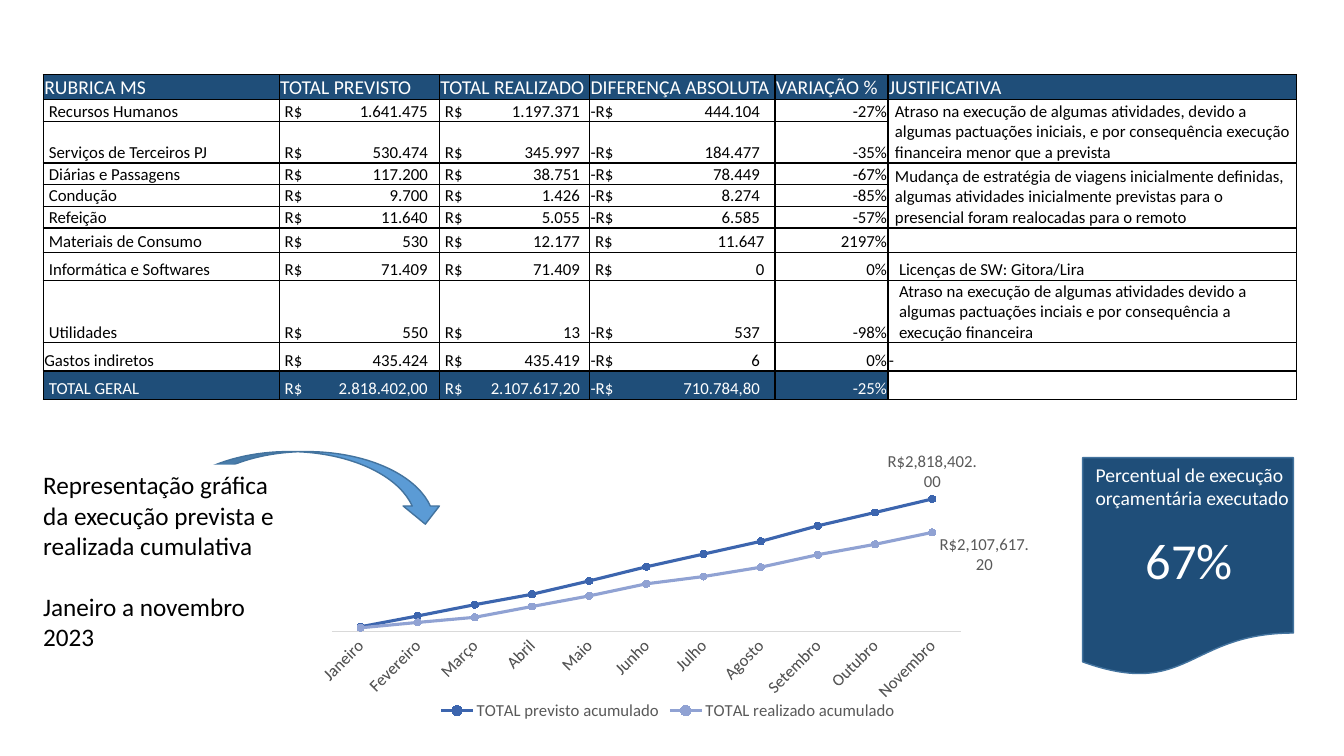
from lxml import etree
from pptx import Presentation
from pptx.chart.data import CategoryChartData
from pptx.dml.color import RGBColor
from pptx.enum.chart import (XL_CHART_TYPE, XL_LABEL_POSITION, XL_LEGEND_POSITION,
                             XL_MARKER_STYLE, XL_TICK_MARK)
from pptx.enum.shapes import MSO_SHAPE
from pptx.enum.text import MSO_ANCHOR, PP_ALIGN
from pptx.oxml import parse_xml
from pptx.oxml.ns import nsdecls, qn
from pptx.util import Inches, Pt

LINE_MARKERS = XL_CHART_TYPE.LINE_MARKERS
LABEL_ABOVE, LABEL_RIGHT = XL_LABEL_POSITION.ABOVE, XL_LABEL_POSITION.RIGHT
LEGEND_BOTTOM = XL_LEGEND_POSITION.BOTTOM
CIRCLE = XL_MARKER_STYLE.CIRCLE
NO_TICKS = XL_TICK_MARK.NONE
CURVED_ARROW = MSO_SHAPE.CURVED_DOWN_ARROW
DOCUMENT = MSO_SHAPE.FLOWCHART_DOCUMENT
RECTANGLE = MSO_SHAPE.RECTANGLE
BOTTOM, TOP = MSO_ANCHOR.BOTTOM, MSO_ANCHOR.TOP
LEFT, CENTER, RIGHT = PP_ALIGN.LEFT, PP_ALIGN.CENTER, PP_ALIGN.RIGHT

BLACK = RGBColor(0x00, 0x00, 0x00)
WHITE = RGBColor(0xFF, 0xFF, 0xFF)
NAVY = RGBColor(0x1F, 0x4E, 0x79)
SKY = RGBColor(0x5B, 0x9B, 0xD5)
OUTLINE = RGBColor(0x43, 0x73, 0x9E)
GRAY = RGBColor(0x59, 0x59, 0x59)
PALE_GRAY = RGBColor(0xD9, 0xD9, 0xD9)
PLANNED = RGBColor(0x3C, 0x65, 0xAE)
SPENT = RGBColor(0x90, 0xA2, 0xD3)

GRID = Inches(0.1)  # side of one grid column and row
COLUMNS, ROWS = 133.33, 75

HEADERS = ["RUBRICA MS", "TOTAL PREVISTO", "TOTAL REALIZADO", "DIFERENÇA ABSOLUTA",
           "VARIAÇÃO %", "JUSTIFICATIVA"]
BUDGET = [  # item, planned, spent, sign of the difference, difference, variation, reason
    ("Recursos Humanos", "1.641.475", "1.197.371", "-", "444.104", "-27%",
     "Atraso na execução de algumas atividades, devido a algumas pactuações iniciais, "
     "e por consequência execução financeira menor que a prevista"),
    ("Serviços de Terceiros PJ", "530.474", "345.997", "-", "184.477", "-35%", ""),
    ("Diárias e Passagens", "117.200", "38.751", "-", "78.449", "-67%",
     "Mudança de estratégia de viagens inicialmente definidas, algumas atividades "
     "inicialmente previstas para o presencial foram realocadas para o remoto"),
    ("Condução", "9.700", "1.426", "-", "8.274", "-85%", ""),
    ("Refeição", "11.640", "5.055", "-", "6.585", "-57%", ""),
    ("Materiais de Consumo", "530", "12.177", "", "11.647", "2197%", ""),
    ("Informática e Softwares", "71.409", "71.409", "", "0", "0%",
     "Licenças de SW: Gitora/Lira"),
    ("Utilidades", "550", "13", "-", "537", "-98%",
     "Atraso na execução de algumas atividades devido a algumas pactuações inciais e "
     "por consequência a execução financeira"),
    ("Gastos indiretos", "435.424", "435.419", "-", "6", "0%", "-"),
    ("TOTAL GERAL", "2.818.402,00", "2.107.617,20", "-", "710.784,80", "-25%", ""),
]
COLUMN_WIDTHS = [23.4, 15.9, 14.9, 18.4, 11.2, 40.5]
ROW_HEIGHTS = [2.45, 2.2, 4.1, 2.15, 2.15, 2.15, 2.4, 2.8, 6.2, 2.8, 2.8]
AMOUNT_STOPS = {1: 14.2, 2: 13.4, 3: 16.8}  # right tab of each amount column
REASON_INDENTS = {1: 0.6, 3: 0.6, 7: 1, 8: 1}
REASON_SPANS = [(1, 2), (3, 5)]
TEXT_INDENT = 0.45

MONTHS = ["Janeiro", "Fevereiro", "Março", "Abril", "Maio", "Junho", "Julho", "Agosto",
          "Setembro", "Outubro", "Novembro"]
SERIES = [
    ("TOTAL previsto acumulado", PLANNED, LABEL_ABOVE, 0,
     [100702, 331227, 570662, 792067, 1075998, 1377327, 1647570, 1917499, 2248722,
      2531115, 2818402]),
    ("TOTAL realizado acumulado", SPENT, LABEL_RIGHT, 0.08,
     [78528.34, 193990.65, 302499.13, 531730.01, 756839.88, 1014219.42, 1169531.1,
      1367595.6, 1633349.4, 1854450.94, 2107617.2]),
]


def grid(*lengths):
    return [round(length * GRID) for length in lengths]


def manual_layout(**parts):
    items = "".join(f'<c:{name} val="{value}"/>' for name, value in parts.items())
    return parse_xml(f'<c:layout {nsdecls("c")}><c:manualLayout>{items}'
                     '</c:manualLayout></c:layout>')


class BudgetSlide:
    font_name = "Calibri"

    def __init__(self, presentation):
        self.slide = presentation.slides.add_slide(presentation.slide_layouts[6])

    def style(self, font, size, color):
        font.name, font.size, font.color.rgb = self.font_name, Pt(size), color

    def shape(self, kind, place, fill, line=None):
        shape = self.slide.shapes.add_shape(kind, *grid(*place))
        shape.shadow.inherit = False
        shape.fill.solid()
        shape.fill.fore_color.rgb = fill
        if line is None:
            shape.line.fill.background()
        else:
            shape.line.color.rgb, shape.line.width = line, Pt(1)
        return shape

    def fill_text(self, shape, text, size, color, align=LEFT, gap=0):
        frame = shape.text_frame
        frame.text, frame.word_wrap, frame.vertical_anchor = text, True, TOP
        for index, paragraph in enumerate(frame.paragraphs):
            paragraph.alignment = align
            if index:
                paragraph.space_before = Pt(gap)
            for run in paragraph.runs:
                self.style(run.font, size, color)

    def text(self, place, *content, **options):
        self.fill_text(self.slide.shapes.add_textbox(*grid(*place)), *content, **options)

    def cell(self, cell, text, size=12, color=BLACK, fill=None, align=LEFT, indent=0, stop=None):
        cell.margin_left = cell.margin_right = cell.margin_top = Inches(0.01)
        cell.margin_bottom, cell.vertical_anchor = 0, BOTTOM
        properties = cell._tc.get_or_add_tcPr()
        for side in ("lnL", "lnR", "lnT", "lnB"):
            properties.append(parse_xml(
                f'<a:{side} {nsdecls("a")} w="12700"><a:solidFill>'
                f'<a:srgbClr val="{BLACK}"/></a:solidFill></a:{side}>'))
        if fill is None:
            cell.fill.background()
        else:
            cell.fill.solid()
            cell.fill.fore_color.rgb = fill
        paragraph = cell.text_frame.paragraphs[0]
        paragraph.text, paragraph.alignment = text, align
        paragraph_properties = paragraph._p.get_or_add_pPr()
        paragraph_properties.set("marL", str(grid(indent)[0]))
        if stop:
            tabs = etree.SubElement(paragraph_properties, qn("a:tabLst"))
            etree.SubElement(tabs, qn("a:tab"), pos=str(grid(stop)[0]), algn="r")
        for run in paragraph.runs:
            self.style(run.font, size, color)
        if not text:
            etree.SubElement(paragraph._p, qn("a:endParaRPr"), sz=str(size * 100))

    def table(self, left, top):
        place = grid(left, top, sum(COLUMN_WIDTHS), sum(ROW_HEIGHTS))
        table = self.slide.shapes.add_table(len(ROW_HEIGHTS), len(HEADERS), *place).table
        table.first_row = table.horz_banding = False
        for column, width in zip(table.columns, grid(*COLUMN_WIDTHS)):
            column.width = width
        for row, height in zip(table.rows, grid(*ROW_HEIGHTS)):
            row.height = height
        for column, header in enumerate(HEADERS):
            self.cell(table.cell(0, column), header, 14, WHITE, NAVY)
        for row, (item, planned, spent, sign, gap, variation, reason) in enumerate(BUDGET, 1):
            total = row == len(BUDGET)
            look = {"color": WHITE, "fill": NAVY} if total else {}
            item_indent = 0 if item == "Gastos indiretos" else TEXT_INDENT
            self.cell(table.cell(row, 0), item, indent=item_indent, **look)
            for column, prefix, amount in ((1, "", planned), (2, "", spent), (3, sign, gap)):
                self.cell(table.cell(row, column), f"{prefix}R$\t{amount}",
                          indent=0 if prefix else TEXT_INDENT,
                          stop=AMOUNT_STOPS[column], **look)
            self.cell(table.cell(row, 4), variation, align=RIGHT, **look)
            self.cell(table.cell(row, 5), reason, indent=REASON_INDENTS.get(row, 0))
        for first, last in REASON_SPANS:
            table.cell(first, 5).merge(table.cell(last, 5))

    def chart(self, place):
        data = CategoryChartData(number_format='"R$"#,##0.00')
        data.categories = MONTHS
        for name, _, _, _, values in SERIES:
            data.add_series(name, values)
        chart = self.slide.shapes.add_chart(LINE_MARKERS, *grid(*place), data).chart
        self.style(chart.font, 12, GRAY)
        chart.has_title = False
        chart.has_legend = True
        chart.legend.position, chart.legend.include_in_layout = LEGEND_BOTTOM, False
        # Axes
        months, amounts = chart.category_axis, chart.value_axis
        months.major_tick_mark = NO_TICKS
        months.format.line.color.rgb, months.format.line.width = PALE_GRAY, Pt(0.75)
        self.style(months.tick_labels.font, 12, GRAY)
        months._element.find(qn("c:txPr")).find(qn("a:bodyPr")).set("rot", "-2700000")
        amounts.minimum_scale, amounts.maximum_scale = 0, 3000000
        amounts.has_major_gridlines = amounts.visible = False
        # Plot area
        plot = chart.plots[0]
        plot.vary_by_categories = False
        area = chart._chartSpace.find(".//" + qn("c:plotArea"))
        for layout in area.findall(qn("c:layout")):
            area.remove(layout)
        area.insert(0, manual_layout(layoutTarget="inner", xMode="edge", yMode="edge",
                                     x=0.03, y=0.17, w=0.88, h=0.5))
        # Lines, each with a label on its last month
        for series, (_, color, position, drop, _) in zip(plot.series, SERIES):
            series.smooth = False
            series.format.line.color.rgb, series.format.line.width = color, Pt(2.25)
            marker = series.marker
            marker.style, marker.size = CIRCLE, 5
            marker.format.fill.solid()
            marker.format.fill.fore_color.rgb = marker.format.line.color.rgb = color
            label = series.points[len(MONTHS) - 1].data_label
            self.style(label.font, 12, GRAY)
            label.position = position
            if drop:
                label._get_or_add_dLbl().insert(1, manual_layout(x=0, y=drop))


def main():
    presentation = Presentation()
    presentation.slide_width, presentation.slide_height = grid(COLUMNS, ROWS)
    budget = BudgetSlide(presentation)

    # Arrow to the chart, the chart and the budget table
    budget.shape(CURVED_ARROW, (16, 44.8, 28, 7.2), SKY, OUTLINE)
    budget.chart((30.8, 43.9, 71.3, 28))
    budget.table(4.3, 7.4)

    # Chart caption
    caption = budget.shape(RECTANGLE, (3.3, 46.1, 26.4, 19.2), WHITE)
    budget.fill_text(caption, "Representação gráfica da execução prevista e realizada cumulativa\n"
                     "Janeiro a novembro 2023", 18, BLACK, gap=22)

    # Share of the budget spent
    budget.shape(DOCUMENT, (107.4, 45.4, 20.9, 21.7), NAVY, OUTLINE)
    budget.text((108.7, 52, 18.6, 7.1), "67%", 36, WHITE, align=CENTER)
    budget.text((107.7, 45.4, 22.6, 5.7), "Percentual de execução orçamentária executado",
                14, WHITE)
    presentation.save("out.pptx")


if __name__ == "__main__":
    main()
